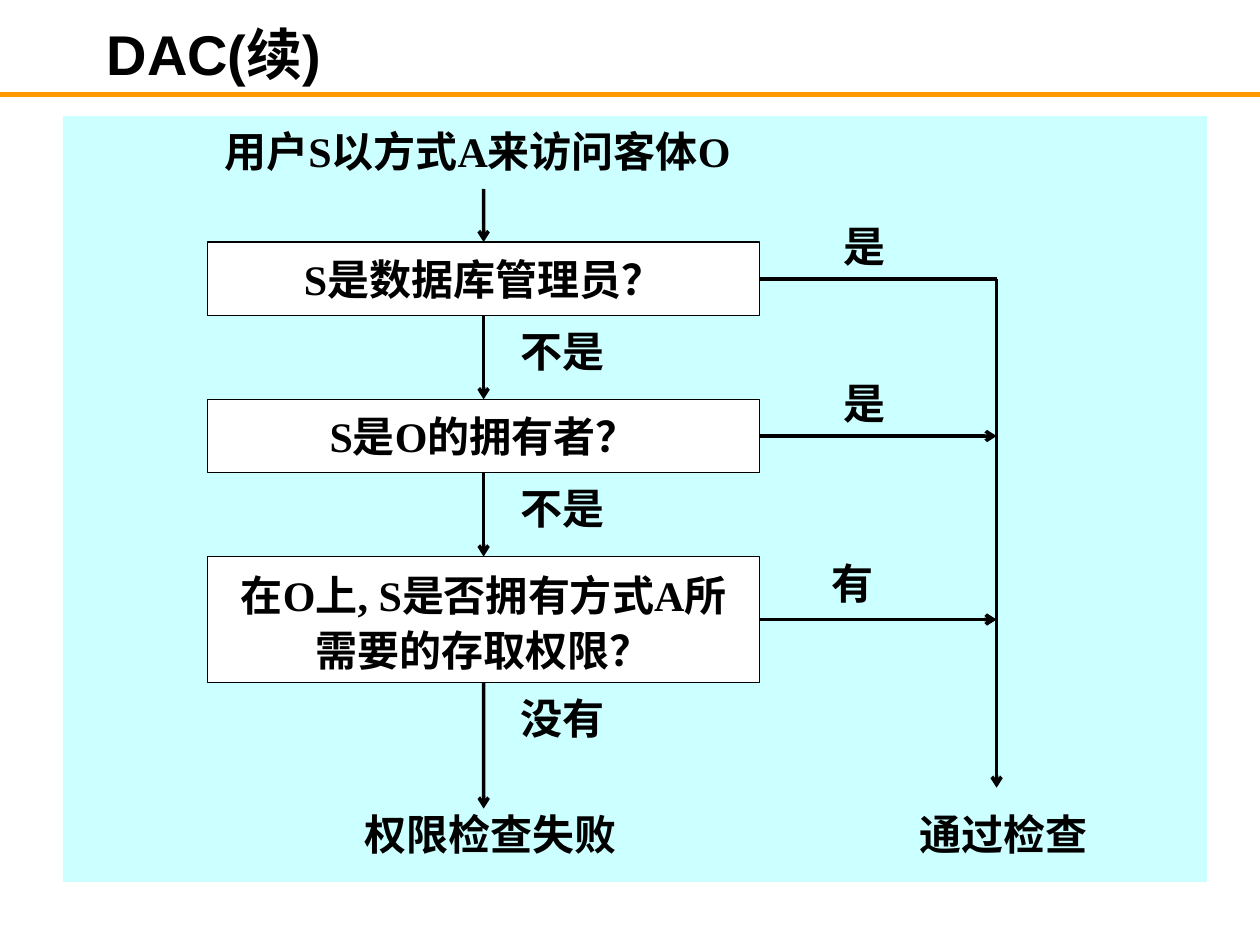
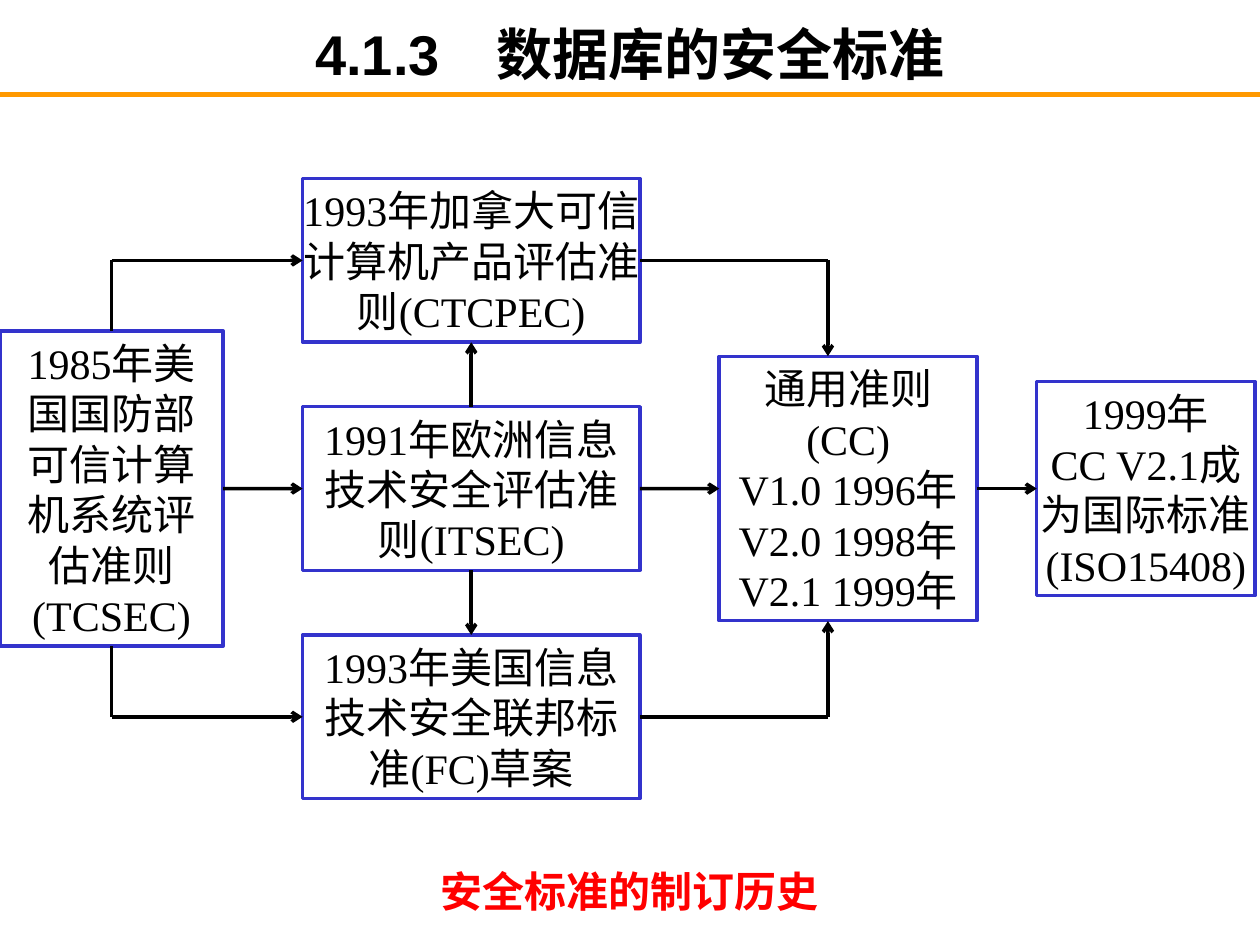
from lxml.etree import SubElement
from pptx import Presentation
from pptx.dml.color import RGBColor
from pptx.enum.shapes import MSO_CONNECTOR, MSO_SHAPE
from pptx.enum.text import MSO_ANCHOR, PP_ALIGN
from pptx.oxml.ns import qn
from pptx.shapes.autoshape import Shape
from pptx.util import Cm, Pt

BLACK = RGBColor(0x00, 0x00, 0x00)
WHITE = RGBColor(0xFF, 0xFF, 0xFF)
ORANGE = RGBColor(0xFF, 0x99, 0x00)
CYAN = RGBColor(0xCC, 0xFF, 0xFF)
BLUE = RGBColor(0x33, 0x33, 0xCC)
RED = RGBColor(0xFF, 0x00, 0x00)
SERIF = "Times New Roman"
SANS = "Arial"
HAN = "Noto Sans CJK SC"
TOP, LEFT, BOTTOM, RIGHT = range(4)


def write(shape, words, size=24, font=SERIF, color=BLACK, bold=True,
          align=PP_ALIGN.CENTER, anchor=MSO_ANCHOR.TOP, pad=(0, 0), lead=1.2):
    """Fill a shape with formatted text, one paragraph a line."""
    frame = shape.text_frame
    frame.word_wrap = True
    frame.vertical_anchor = anchor
    frame.margin_left = frame.margin_right = Cm(pad[0])
    frame.margin_top = frame.margin_bottom = Cm(pad[1])
    for i, line in enumerate(words.split("\n")):
        para = frame.add_paragraph() if i else frame.paragraphs[0]
        para.alignment = align
        para.line_spacing = Pt(round(size * lead, 1))
        run = para.add_run()
        run.text = line
        run.font.size = Pt(size)
        run.font.bold = bold
        run.font.name = font
        run.font.color.rgb = color
        SubElement(run._r.get_or_add_rPr(), qn("a:ea"), typeface=HAN)


def label(slide, words, x, y, w, h=1.07, **style):
    """Add a text box."""
    write(slide.shapes.add_textbox(Cm(x), Cm(y), Cm(w), Cm(h)), words, **style)


def box(slide, x, y, w, h, fill=None, line=None, width=0.75):
    """Add a plain rectangle."""
    shape = slide.shapes.add_shape(MSO_SHAPE.RECTANGLE, Cm(x), Cm(y), Cm(w), Cm(h))
    shape.shadow.inherit = False
    if fill is None:
        shape.fill.background()
    else:
        shape.fill.solid()
        shape.fill.fore_color.rgb = fill
    if line is None:
        shape.line.fill.background()
    else:
        shape.line.color.rgb = line
        shape.line.width = Pt(width)
    return shape


def spot(end):
    """Return the point of an end given as (x, y) or (shape, side)."""
    host, side = end
    if not isinstance(host, Shape):
        return Cm(host), Cm(side)
    across = {LEFT: 0, RIGHT: 2}.get(side, 1)
    down = {TOP: 0, BOTTOM: 2}.get(side, 1)
    return host.left + host.width * across // 2, host.top + host.height * down // 2


def link(slide, start, end, arrow=True, color=BLACK, width=2):
    """Draw a straight line and join it to the shapes it ends on."""
    wire = slide.shapes.add_connector(MSO_CONNECTOR.STRAIGHT, *spot(start), *spot(end))
    if isinstance(start[0], Shape):
        wire.begin_connect(*start)
    if isinstance(end[0], Shape):
        wire.end_connect(*end)
    wire.line.color.rgb = color
    wire.line.width = Pt(width)
    if arrow:
        SubElement(wire.line._get_or_add_ln(), qn("a:tailEnd"), type="arrow")
    SubElement(wire._element.spPr, qn("a:effectLst"))


def page(deck, title, align):
    """Add a slide with the shared rule and title."""
    slide = deck.slides.add_slide(deck.slide_layouts[6])
    link(slide, (0, 1.9), (25.4, 1.9), arrow=False, color=ORANGE, width=3)
    label(slide, title, 1.9, 0.43, 21.6, 1.27, size=32, font=SANS, align=align,
          anchor=MSO_ANCHOR.MIDDLE, pad=(0.25, 0))
    return slide


def check(deck):
    """Build the flow chart of the access check."""
    slide = page(deck, "DAC(续)", PP_ALIGN.LEFT)
    box(slide, 1.27, 2.34, 23.06, 15.44, fill=CYAN)
    label(slide, "用户S以方式A来访问客体O", 2.87, 2.54, 13.51)
    axis, trunk = 9.75, 20.09
    steps = [
        ("S是数据库管理员？", 1.48, "不是", "是", 15.85, 4.45, 0, 1.2),
        ("S是O的拥有者？", 1.48, "不是", "是", 15.85, 7.62, 0, 1.2),
        ("在O上, S是否拥有方式A所需要的存取权限？", 2.54, "没有", "有", 15.6, 11.23, 0.25, 1.32),
    ]
    last = (axis, 3.81)
    for i, (ask, high, no, yes, x, y, pad, lead) in enumerate(steps):
        top = 4.88 + 3.17 * i
        step = box(slide, 4.19, top, 11.12, high, fill=WHITE, line=BLACK)
        write(step, ask, anchor=MSO_ANCHOR.MIDDLE, pad=(pad, 0), lead=lead)
        link(slide, last, (step, TOP))
        link(slide, (step, RIGHT), (trunk, top + high / 2), arrow=i > 0)
        label(slide, yes, x, y, 3.17)
        label(slide, no, axis, top + high + 0.2, 3.17)
        last = (step, BOTTOM)
    link(slide, last, (axis, 16.3))
    link(slide, (trunk, 5.62), (trunk, 15.88))
    label(slide, "权限检查失败", 5.77, 16.3, 8.23)
    label(slide, "通过检查", 17.45, 16.3, 5.56)


def norm(slide, words, x, mid, w, h, pad=0.25):
    """Add a framed standard centred on a height."""
    shape = box(slide, x, mid - h / 2, w, h, line=BLUE, width=2)
    write(shape, words, bold=False, pad=(pad, 0.13))
    return shape


def history(deck):
    """Build the history of the security standards."""
    slide = page(deck, "4.1.3　数据库的安全标准", PP_ALIGN.CENTER)
    label(slide, "安全标准的制订历史", 0, 17.32, 25.4, 1.73, font=SANS, color=RED,
          pad=(0.25, 0.13))
    axis, pitch = 9.85, 4.6
    high, low = axis - pitch, axis + pitch
    root = norm(slide, "1985年美国国防部可信计算机系统评估准则\n(TCSEC)", 0, axis, 4.5, 6.35)
    euro = norm(slide, "1991年欧洲信息技术安全评估准则(ITSEC)", 6.1, axis, 6.8, 3.3)
    north = norm(slide, "1993年加拿大可信计算机产品评估准则(CTCPEC)", 6.1, high, 6.8, 3.3, pad=0)
    draft = norm(slide, "1993年美国信息技术安全联邦标准(FC)草案", 6.1, low, 6.8, 3.3)
    joint = norm(slide, "通用准则\n(CC)\nV1.0 1996年\nV2.0 1998年\nV2.1 1999年",
                 14.5, axis, 5.2, 5.33)
    world = norm(slide, "1999年\nCC V2.1成为国际标准\n(ISO15408)", 20.9, axis, 4.4, 4.32, pad=0)
    for a, b in [(root, euro), (euro, joint), (joint, world)]:
        link(slide, (a, RIGHT), (b, LEFT))
    for side, back, item, y in [(TOP, BOTTOM, north, high), (BOTTOM, TOP, draft, low)]:
        link(slide, (euro, side), (item, back))
        link(slide, (root, side), (2.25, y), arrow=False)
        link(slide, (2.25, y), (item, LEFT))
        link(slide, (item, RIGHT), (16.69, y), arrow=False)
        edge = axis - 2.67 if side == TOP else axis + 2.67
        link(slide, (16.69, y), (16.69, edge))


def main():
    """Build and save the deck."""
    deck = Presentation()
    deck.slide_width, deck.slide_height = Cm(25.4), Cm(19.05)
    check(deck)
    history(deck)
    deck.save("out.pptx")


if __name__ == "__main__":
    main()
